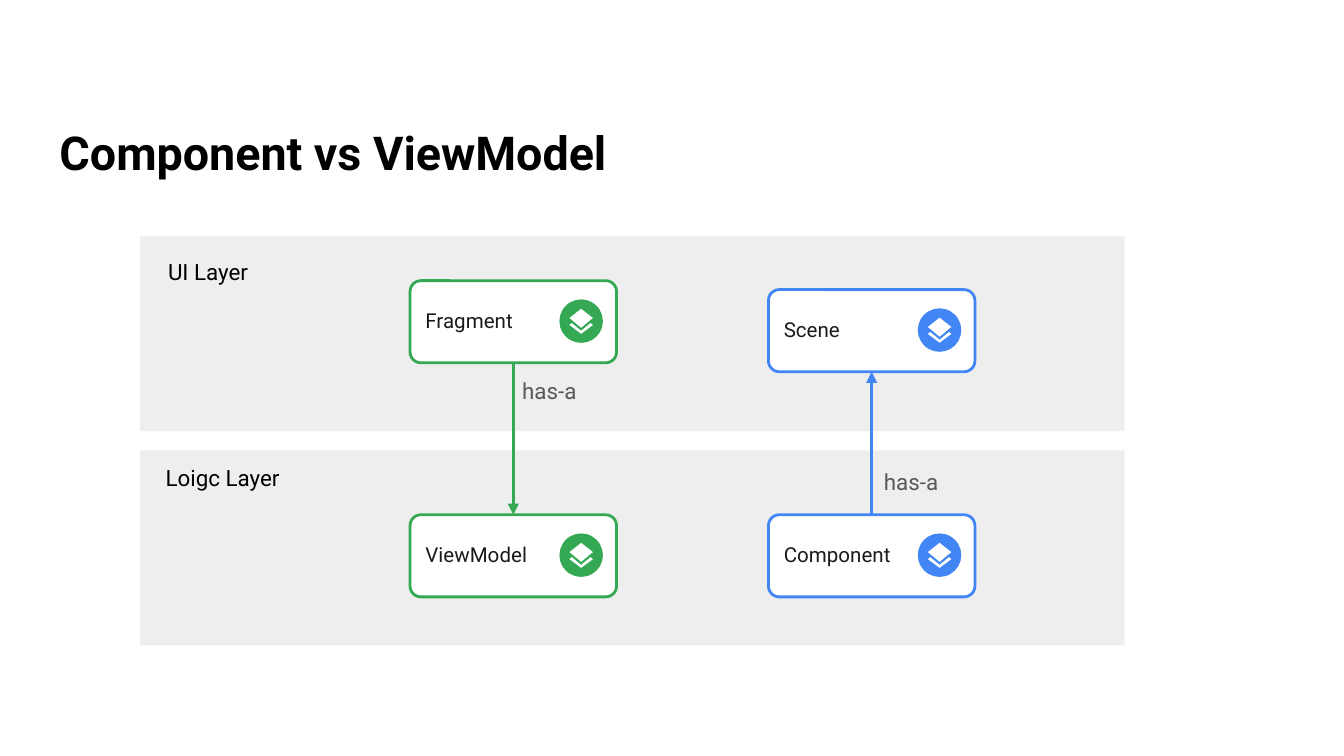
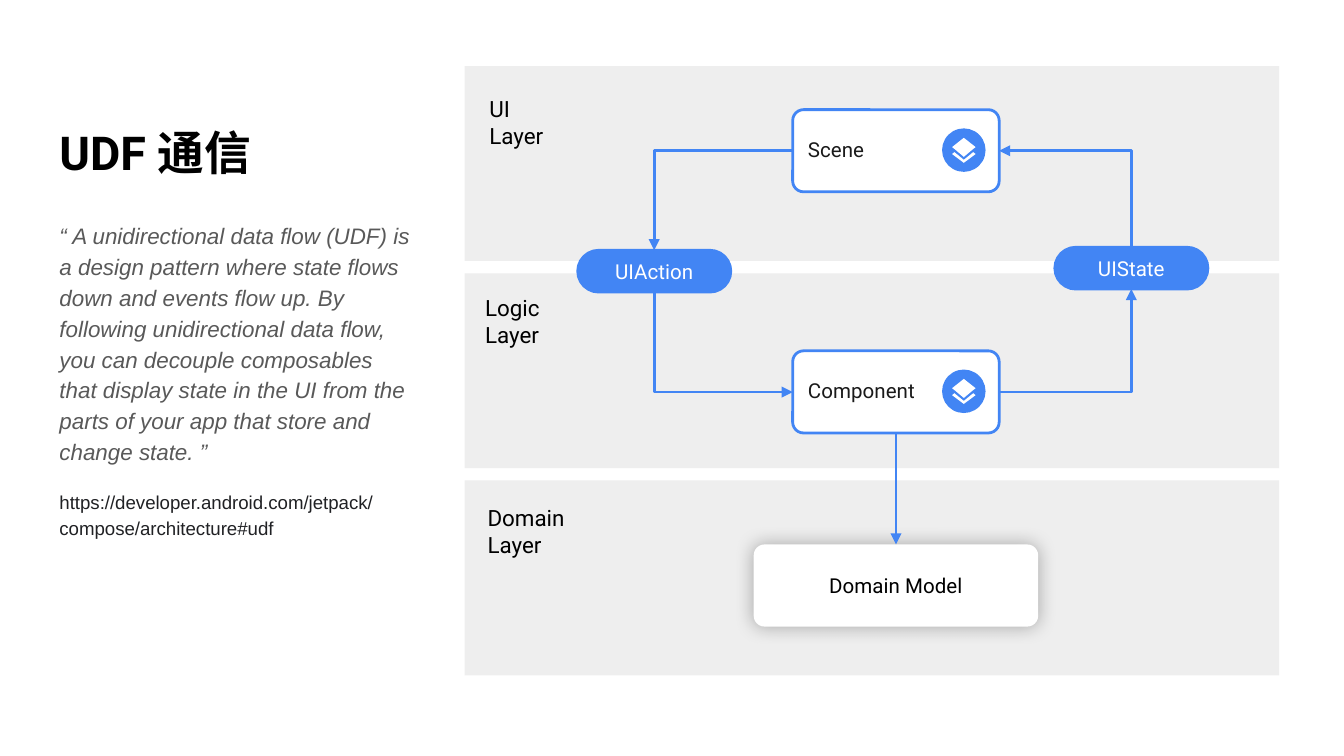
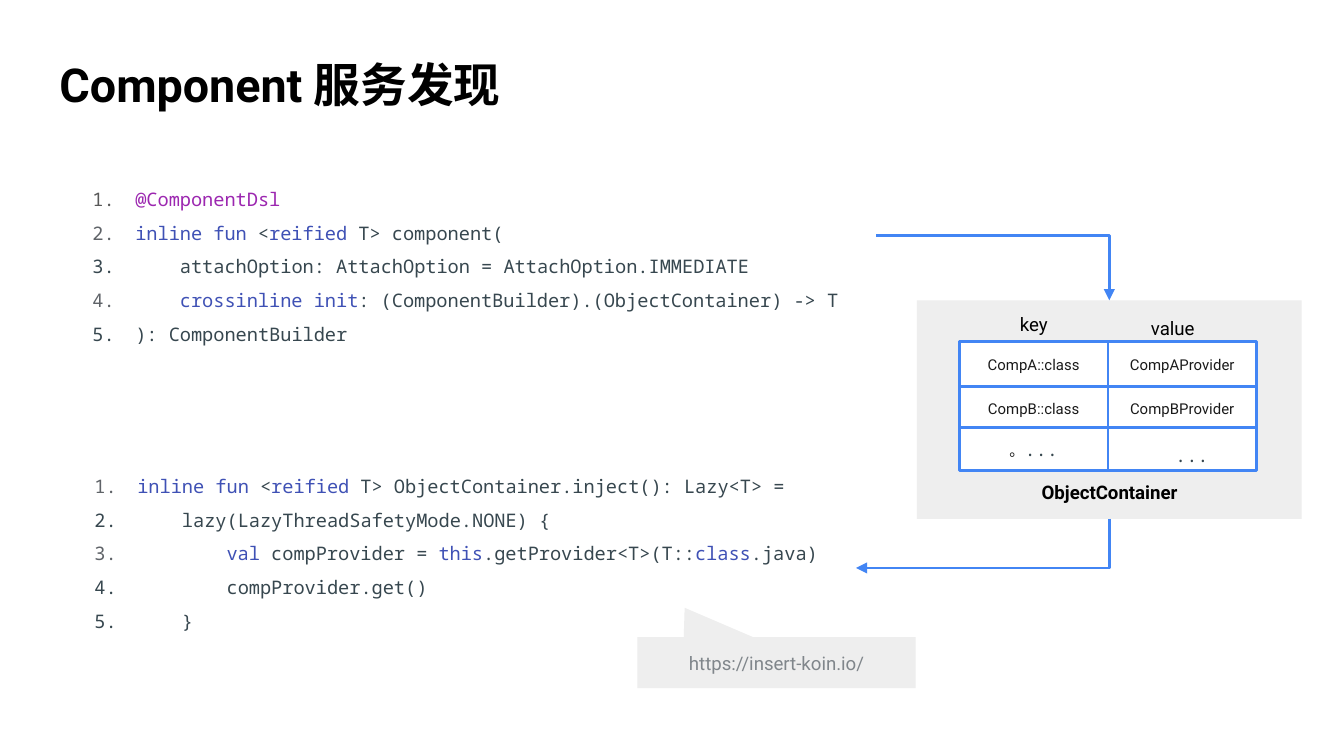
from dataclasses import dataclass

from lxml.etree import SubElement
from pptx import Presentation
from pptx.dml.color import RGBColor
from pptx.enum.shapes import MSO_CONNECTOR as Line, MSO_SHAPE as Preset
from pptx.enum.text import MSO_ANCHOR as Anchor, PP_ALIGN as Align
from pptx.oxml.ns import qn
from pptx.util import Pt

TOP, LEFT, BOTTOM, RIGHT = range(4)


@dataclass(frozen=True)
class Theme:
    blue: str = "4285F4"
    green: str = "34A853"
    band: str = "EEEEEE"
    white: str = "FFFFFF"
    black: str = "000000"
    ink: str = "1A1A1A"
    gray: str = "595959"
    link: str = "202124"
    callout: str = "80868B"
    code: str = "37474F"
    keyword: str = "3F51B5"
    annotation: str = "9C27B0"
    keyword_number: str = "5F6368"
    font: str = "Roboto"
    quote_font: str = "Arial"
    mono: str = "Noto Sans Mono"
    title_size: float = 25
    label_size: float = 12
    card_size: float = 11
    small_size: float = 10
    cell_size: float = 8
    line_width: float = 1.5
    inset: float = 7.2
    card_inset: float = 6.5
    card_width: float = 110.6
    card_height: float = 44
    card_corner: float = 0.132


THEME = Theme()


def rgb(color):
    return RGBColor.from_string(color)


def bounds_in_points(bounds):
    return [Pt(length) for length in bounds]


def add_run(paragraph, text, size, color=THEME.black, font=THEME.font, bold=False, italic=False):
    run = paragraph.add_run()
    run.text = text
    run.font.size = Pt(size)
    run.font.name = font
    run.font.bold = bold
    run.font.italic = italic
    run.font.color.rgb = rgb(color)


def write(frame, *paragraphs, align=Align.LEFT, anchor=Anchor.TOP, inset=THEME.inset,
          spacing=None, space_before=0, **run_format):
    """Fill a text frame; a paragraph is a string or a list of (text, format changes)."""
    frame.word_wrap = True
    frame.vertical_anchor = anchor
    frame.margin_left = frame.margin_right = frame.margin_top = frame.margin_bottom = Pt(inset)
    for index, runs in enumerate(paragraphs):
        paragraph = frame.add_paragraph() if index else frame.paragraphs[0]
        paragraph.alignment = align
        if spacing:
            paragraph.line_spacing = spacing
        if index and space_before:
            paragraph.space_before = Pt(space_before)
        for text, changes in [(runs, {})] if isinstance(runs, str) else runs:
            add_run(paragraph, text, **{**run_format, **changes})


def add_text(slide, bounds, *paragraphs, **text_format):
    box = slide.shapes.add_textbox(*bounds_in_points(bounds))
    write(box.text_frame, *paragraphs, **text_format)
    return box


def add_title(slide, text, top=43.5):
    add_text(slide, (24.8, top, 330, 59.8), text, anchor=Anchor.BOTTOM,
             size=THEME.title_size, bold=True)


def style(shape, fill, line=None):
    shape.shadow.inherit = False
    shape.fill.solid()
    shape.fill.fore_color.rgb = rgb(fill)
    if line:
        shape.line.color.rgb = rgb(line)
        shape.line.width = Pt(THEME.line_width)
    else:
        shape.line.fill.background()


def add_box(slide, bounds, fill, line=None, corner=0.0):
    box = slide.shapes.add_shape(Preset.ROUNDED_RECTANGLE, *bounds_in_points(bounds))
    box.adjustments[0] = corner
    style(box, fill, line)
    return box


def add_layers_icon(slide, left, top, color):
    """Draw a disc with a white diamond over a chevron."""
    diameter = 23.3
    disc = slide.shapes.add_shape(
        Preset.OVAL, *bounds_in_points((left, top, diameter, diameter)))
    style(disc, color)
    diamond = [(0, 10.2), (-5, 6), (-6.3, 5), (0, 0), (6.3, 5), (5, 6)]
    chevron = [(0, 11.8), (5, 7.7), (6.3, 8.7), (0, 13.4), (-6.3, 8.7), (-5, 7.7)]
    diamond, chevron = (
        [(Pt(left + diameter / 2 + x), Pt(top + 5 + y)) for x, y in outline]
        for outline in (diamond, chevron))
    builder = slide.shapes.build_freeform(*chevron[0])
    builder.add_line_segments(chevron[1:], close=True)
    builder.move_to(*diamond[0])
    builder.add_line_segments(diamond[1:], close=True)
    style(builder.convert_to_shape(), THEME.white)


def add_card(slide, left, top, name, color=THEME.blue):
    card = add_box(slide, (left, top, THEME.card_width, THEME.card_height),
                   THEME.white, color, THEME.card_corner)
    write(card.text_frame, name, anchor=Anchor.MIDDLE, inset=THEME.card_inset,
          spacing=0.9, size=THEME.card_size, color=THEME.ink)
    add_layers_icon(slide, left + 80, top + 10, color)
    return card


def add_pill(slide, left, top, name):
    pill = add_box(slide, (left, top, 82, 22.4), THEME.blue, THEME.blue, 0.5)
    write(pill.text_frame, name, align=Align.CENTER, anchor=Anchor.MIDDLE, inset=0,
          size=THEME.card_size, color=THEME.white)
    return pill


def turn_vertical_first(connector):
    """Turn a one-bend connector so that it leaves its start vertically."""
    x1, y1 = connector.begin_x, connector.begin_y
    x2, y2 = connector.end_x, connector.end_y
    width, height = abs(y2 - y1), abs(x2 - x1)
    connector.left, connector.top = (x1 + x2 - width) // 2, (y1 + y2 - height) // 2
    connector.width, connector.height = width, height
    xfrm = connector._element.spPr.find(qn("a:xfrm"))
    xfrm.set("rot", "5400000")
    xfrm.set("flipH", str(int(y2 < y1)))
    xfrm.set("flipV", str(int(x2 > x1)))


def add_arrow(slide, start, end, color=THEME.blue, bend=None):
    """Join two ends, each (shape, side) or (x, y); bend names the first direction."""
    connector = slide.shapes.add_connector(Line.ELBOW if bend else Line.STRAIGHT, 0, 0, 0, 0)
    if isinstance(start[0], (int, float)):
        connector.begin_x, connector.begin_y = Pt(start[0]), Pt(start[1])
    else:
        connector.begin_connect(*start)
    if isinstance(end[0], (int, float)):
        connector.end_x, connector.end_y = Pt(end[0]), Pt(end[1])
    else:
        connector.end_connect(*end)
    connector.line.color.rgb = rgb(color)
    connector.line.width = Pt(THEME.line_width)
    properties = connector._element.spPr
    SubElement(properties.find(qn("a:ln")), qn("a:tailEnd"), type="triangle")
    SubElement(properties, qn("a:effectLst"))
    if bend:
        properties.find(qn("a:prstGeom")).set("prst", "bentConnector2")
    if bend == "vertical":
        turn_vertical_first(connector)


def add_glow(shape):
    effects = shape._element.spPr.find(qn("a:effectLst"))
    shadow = SubElement(effects, qn("a:outerShdw"), blurRad=str(Pt(10)), dist="0", dir="0",
                        algn="ctr", rotWithShape="0")
    color = SubElement(shadow, qn("a:srgbClr"), val=THEME.black)
    SubElement(color, qn("a:alpha"), val="30000")


def set_numbering(paragraph, color):
    properties = paragraph._p.get_or_add_pPr()
    properties.set("marL", str(Pt(36)))
    properties.set("indent", str(Pt(-23)))
    SubElement(SubElement(properties, qn("a:buClr")), qn("a:srgbClr"), val=color)
    SubElement(properties, qn("a:buSzPts"), val=str(int(THEME.small_size * 100)))
    SubElement(properties, qn("a:buFont"), typeface=THEME.mono)
    SubElement(properties, qn("a:buAutoNum"), type="arabicPeriod")


def add_code(slide, bounds, *lines):
    """Add numbered code lines; keywords stand between backticks."""
    paragraphs, number_colors = [], []
    for line in lines:
        if line.startswith("@"):
            paragraphs.append([(line, {"color": THEME.annotation})])
            number_colors.append(THEME.gray)
            continue
        pieces = enumerate(line.split("`"))
        paragraphs.append([(piece, {"color": THEME.keyword if index % 2 else THEME.code})
                           for index, piece in pieces if piece])
        number_colors.append(THEME.keyword_number if "`" in line else THEME.code)
    box = add_text(slide, bounds, *paragraphs, spacing=1.5,
                   size=THEME.small_size, font=THEME.mono)
    for paragraph, color in zip(box.text_frame.paragraphs, number_colors):
        set_numbering(paragraph, color)


def add_entry(slide, top, height, key, value):
    """Draw one key and value pair as two boxes and return the value box."""
    width = 79.6
    for left, content in ((514, key), (514 + width, value)):
        box = add_box(slide, (left, top, width, height), THEME.white, THEME.blue)
        write(box.text_frame, content, align=Align.CENTER, anchor=Anchor.MIDDLE, inset=0,
              size=THEME.cell_size, color=THEME.ink)
    return box


def build_comparison(slide):
    for top in (241.3, 126.6):
        add_box(slide, (74.9, top, 527.6, 104.4), THEME.band)
    add_title(slide, "Component vs ViewModel")
    fragment = add_card(slide, 219.7, 150.4, "Fragment", THEME.green)
    scene = add_card(slide, 411.7, 155.2, "Scene")
    view_model = add_card(slide, 219.7, 275.8, "ViewModel", THEME.green)
    component = add_card(slide, 411.7, 275.8, "Component")
    add_arrow(slide, (component, TOP), (scene, BOTTOM))
    add_arrow(slide, (fragment, BOTTOM), (view_model, TOP), THEME.green)
    for left, top in ((266.2, 194.9), (460, 243.6)):
        add_text(slide, (left, top, 56.2, 28.8), "has-a", align=Align.CENTER,
                 size=THEME.label_size, color=THEME.gray)
    for left, top, name in ((82.9, 131.1, "UI Layer"), (81.6, 241.5, "Loigc Layer")):
        add_text(slide, (left, top, 115, 28.8), name, size=THEME.label_size)


def build_data_flow(slide):
    for index in range(3):
        add_box(slide, (249, 35.4 + 111 * index, 436.3, 104.4), THEME.band)
    add_title(slide, "UDF 通信")
    scene = add_card(slide, 424.7, 58.8, "Scene")
    component = add_card(slide, 424.7, 188, "Component")
    state = add_pill(slide, 565.1, 132.5, "UIState")
    action = add_pill(slide, 309.5, 134.1, "UIAction")
    add_arrow(slide, (component, RIGHT), (state, BOTTOM), bend="horizontal")
    add_arrow(slide, (scene, LEFT), (action, TOP), bend="horizontal")
    add_arrow(slide, (state, TOP), (scene, RIGHT), bend="vertical")
    add_arrow(slide, (action, BOTTOM), (component, LEFT), bend="vertical")

    domain = add_box(slide, (403.8, 291.7, 152.4, THEME.card_height), THEME.white,
                     corner=THEME.card_corner)
    add_glow(domain)
    write(domain.text_frame, "Domain Model", align=Align.CENTER, anchor=Anchor.MIDDLE,
          inset=THEME.card_inset, size=THEME.card_size)
    add_arrow(slide, (component, BOTTOM), (domain, TOP))

    for left, top, name in ((255.1, 43.8, "UI"), (252.8, 150.6, "Logic"), (254.1, 262.9, "Domain")):
        add_text(slide, (left, top, 109.4, 43.9), name, "Layer", size=THEME.label_size)
    add_text(
        slide, (24.8, 109.6, 204.5, 250.6),
        [("“ A unidirectional data flow (UDF) is a design pattern where state flows down and "
          "events flow up. By following unidirectional data flow, you can decouple composables "
          "that display state in the UI from the parts of your app that store and change "
          "state. ”", {"italic": True, "color": THEME.gray})],
        [("https://developer.android.com/jetpack/compose/architecture#udf",
          {"size": THEME.small_size, "color": THEME.link})],
        size=THEME.label_size, font=THEME.quote_font, spacing=1.15, space_before=12)


def build_service_discovery(slide):
    add_code(slide, (29.4, 87.5, 635, 121),
             "@ComponentDsl",
             "`inline fun` <`reified` T> component(",
             "    attachOption: AttachOption = AttachOption.IMMEDIATE",
             "    `crossinline init`: (ComponentBuilder).(ObjectContainer) -> T",
             "): ComponentBuilder")
    add_title(slide, "Component 服务发现", top=7.5)
    add_code(slide, (30.5, 241.2, 635, 121),
             "`inline fun` <`reified` T> ObjectContainer.inject(): Lazy<T> =",
             "    lazy(LazyThreadSafetyMode.NONE) {",
             "        `val` compProvider = `this`.getProvider<T>(T::`class`.java)",
             "        compProvider.get()",
             "    }")

    container = add_box(slide, (491.2, 160.9, 206.2, 117.1), THEME.band)
    dots = ("...", {"size": THEME.small_size, "font": THEME.mono, "color": THEME.code})
    add_entry(slide, 182.9, 24.3, "CompA::class", "CompAProvider")
    add_entry(slide, 207.1, 23, "CompB::class", "CompBProvider")
    last_value = add_entry(slide, 229, 23, [("。", {}), dots], [dots])
    paragraph = last_value.text_frame.paragraphs[0]
    paragraph.alignment = Align.LEFT
    paragraph.line_spacing = 1.5
    paragraph._p.get_or_add_pPr().set("marL", str(Pt(36)))

    for bounds, label, bold in (((514, 161.7, 79.6, 26.6), "key", False),
                                ((588.5, 163.7, 79.6, 26.6), "value", False),
                                ((526.4, 251.5, 136, 26.6), "ObjectContainer", True)):
        add_text(slide, bounds, label, align=Align.CENTER, size=THEME.small_size, bold=bold)
    add_arrow(slide, (469.4, 126.2), (container, TOP), bend="horizontal")
    add_arrow(slide, (container, BOTTOM), (458.6, 304.3), bend="vertical")

    callout = slide.shapes.add_shape(
        Preset.RECTANGULAR_CALLOUT, *bounds_in_points((341.5, 341.4, 149, 27.2)))
    callout.adjustments[0], callout.adjustments[1] = -0.33, -1.08
    style(callout, THEME.band)
    write(callout.text_frame, "https://insert-koin.io/", align=Align.CENTER,
          anchor=Anchor.MIDDLE, size=THEME.small_size, color=THEME.callout)


def main():
    presentation = Presentation()
    presentation.slide_width, presentation.slide_height = Pt(720), Pt(405)
    blank = presentation.slide_layouts[6]
    for build in (build_comparison, build_data_flow, build_service_discovery):
        build(presentation.slides.add_slide(blank))
    presentation.save("out.pptx")


if __name__ == "__main__":
    main()
